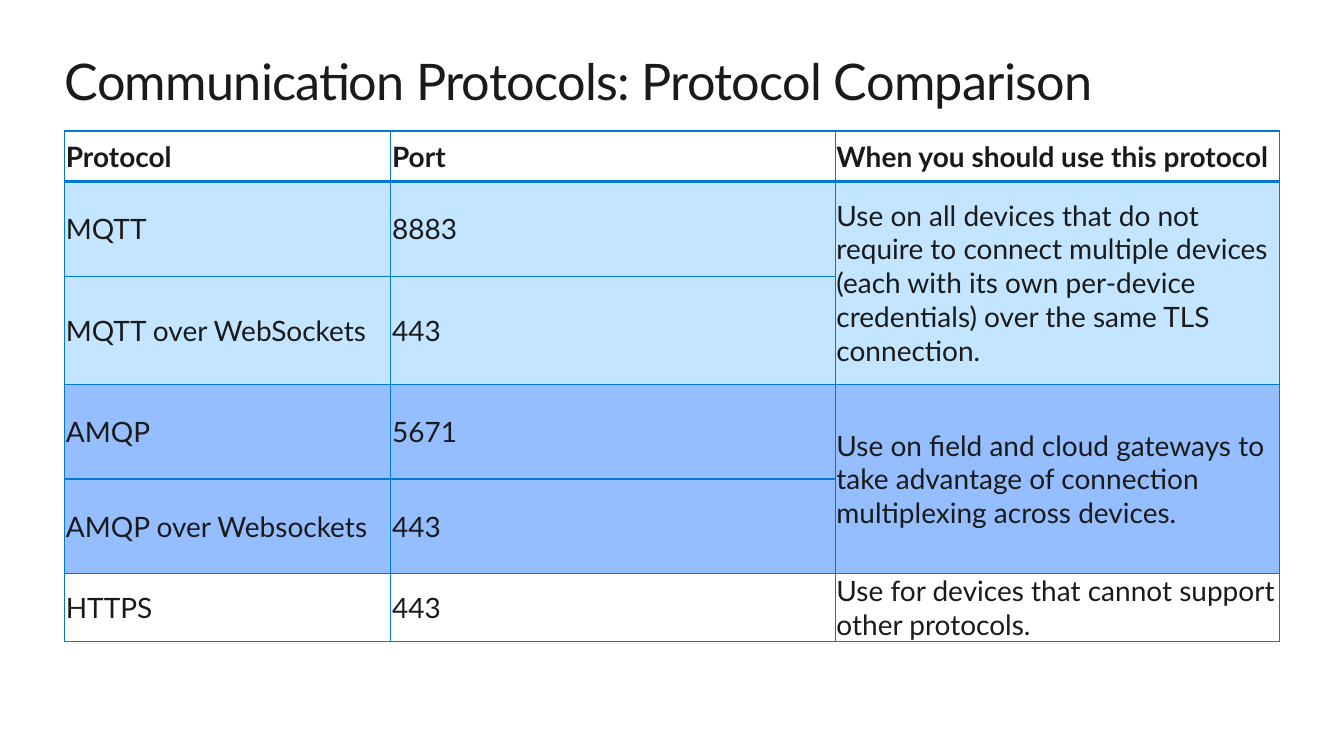
"""Build a slide that compares communication protocols in a table."""
from lxml import etree
from pptx import Presentation
from pptx.dml.color import RGBColor
from pptx.enum import text
from pptx.oxml import ns
from pptx.util import Cm, Pt

INK = RGBColor(0x1A, 0x1A, 0x1A)
BORDER = RGBColor(0x00, 0x78, 0xD4)
LIGHT_BLUE = RGBColor(0xC3, 0xE5, 0xFF)
MID_BLUE = RGBColor(0x94, 0xBE, 0xFF)
FONT = "Lato"
LEFT, WIDTH = Cm(1.63), Cm(30.62)

COLUMN_WIDTHS = [8.22, 11.2, 11.2]
ROWS = [
    (1.27, None, ["Protocol", "Port", "When you should use this protocol"]),
    (2.39, LIGHT_BLUE, ["MQTT", "8883", "Use on all devices that do not require to connect multiple "
                        "devices (each with its own per-device credentials) over the same TLS connection."]),
    (2.72, LIGHT_BLUE, ["MQTT over WebSockets", "443", None]),
    (2.39, MID_BLUE, ["AMQP", "5671", "Use on field and cloud gateways to take advantage of "
                      "connection multiplexing across devices."]),
    (2.39, MID_BLUE, ["AMQP over Websockets", "443", None]),
    (1.27, None, ["HTTPS", "443", "Use for devices that cannot support other protocols."]),
]


def style_font(font, size, bold=False):
    font.name = FONT
    font.size = Pt(size)
    font.bold = bold
    font.color.rgb = INK


def add_border(cell, side, points):
    properties = cell._tc.get_or_add_tcPr()
    line = etree.SubElement(properties, ns.qn(f"a:ln{side}"), w=str(Pt(points)))
    fill = etree.SubElement(line, ns.qn("a:solidFill"))
    etree.SubElement(fill, ns.qn("a:srgbClr"), val=str(BORDER))


presentation = Presentation()
presentation.slide_width = Cm(33.87)
presentation.slide_height = Cm(19.05)
slide = presentation.slides.add_slide(presentation.slide_layouts[5])

title = slide.shapes.title
title.left, title.top, title.width, title.height = LEFT, Cm(1.27), WIDTH, Cm(1.55)
frame = title.text_frame
frame.text = "Communication Protocols: Protocol Comparison"
frame.margin_left = frame.margin_right = frame.margin_top = frame.margin_bottom = 0
frame.vertical_anchor = text.MSO_ANCHOR.TOP
frame.auto_size = text.MSO_AUTO_SIZE.NONE
paragraph = frame.paragraphs[0]
paragraph.alignment = text.PP_ALIGN.LEFT
style_font(paragraph.font, 36)
paragraph.runs[0].font._element.set("spc", "-50")

table_height = Cm(sum(height for height, _, _ in ROWS))
table = slide.shapes.add_table(len(ROWS), len(COLUMN_WIDTHS), LEFT, Cm(3.3), WIDTH, table_height).table
table.first_row = table.horz_banding = False
for column, width in zip(table.columns, COLUMN_WIDTHS):
    column.width = Cm(width)

for row_index, (height, color, contents) in enumerate(ROWS):
    table.rows[row_index].height = Cm(height)
    for column_index, content in enumerate(contents):
        cell = table.cell(row_index, column_index)
        cell.margin_left = cell.margin_right = Cm(0.03)
        cell.margin_top = cell.margin_bottom = 0
        cell.vertical_anchor = text.MSO_ANCHOR.MIDDLE
        add_border(cell, "L", 1)
        add_border(cell, "R", 1)
        add_border(cell, "T", 2 if row_index == 1 else 1)
        add_border(cell, "B", 2 if row_index == 0 else 1)
        if color is None:
            cell.fill.background()
        else:
            cell.fill.solid()
            cell.fill.fore_color.rgb = color
        if content is None:
            table.cell(row_index - 1, column_index).merge(cell)
        else:
            cell.text = content
            style_font(cell.text_frame.paragraphs[0].font, 20, bold=row_index == 0)

presentation.save("out.pptx")
